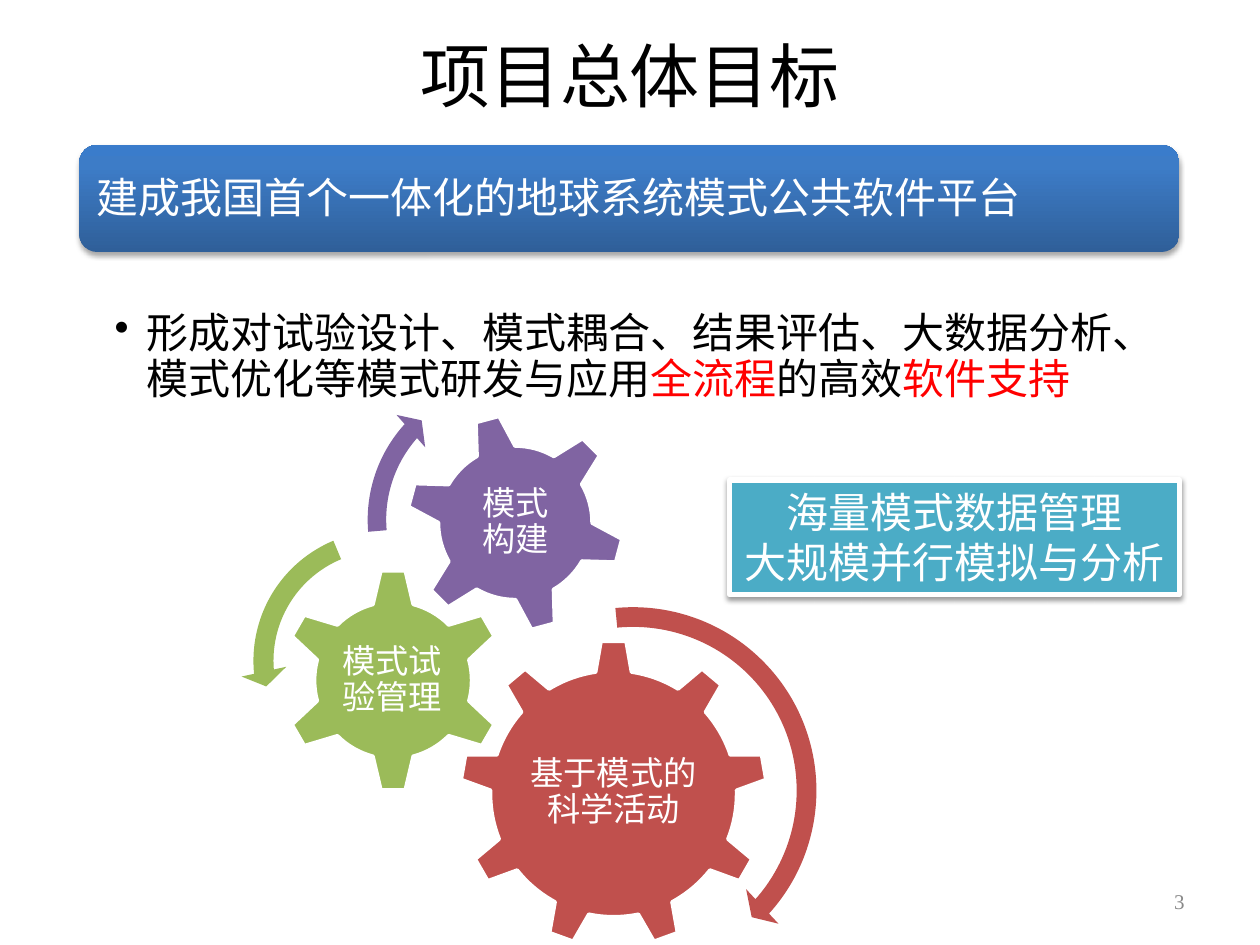
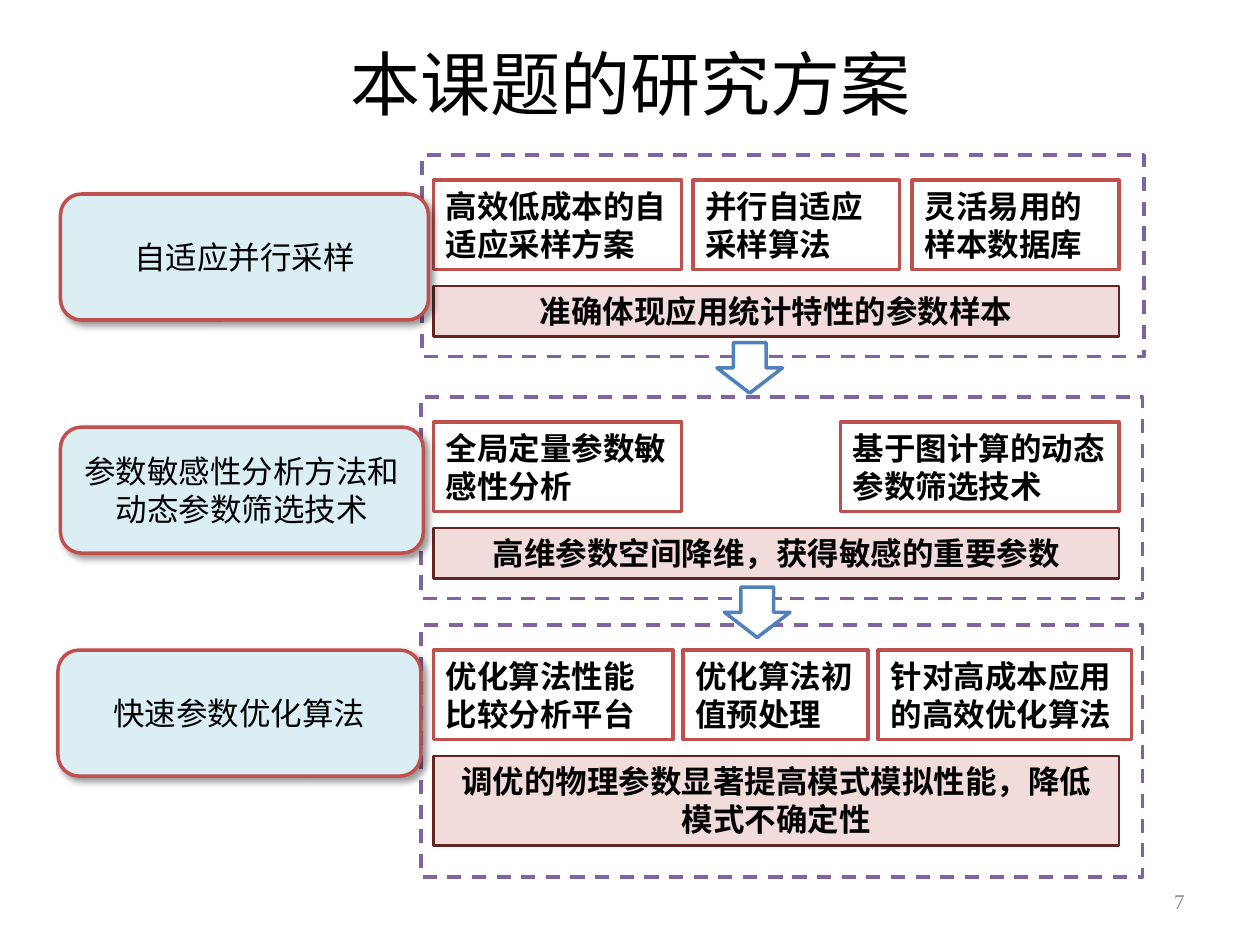
from copy import deepcopy
from dataclasses import dataclass

from lxml import etree
from pptx import Presentation
from pptx.dml.color import RGBColor
from pptx.enum.dml import MSO_LINE
from pptx.enum.shapes import MSO_SHAPE as Kind
from pptx.enum.text import MSO_ANCHOR as Anchor, PP_ALIGN as Align
from pptx.oxml.ns import qn
from pptx.util import Inches, Pt


@dataclass(frozen=True)
class Theme:
    black: str = "000000"
    white: str = "FFFFFF"
    grey: str = "898989"
    emphasis: str = "FF0000"
    red: str = "C0504D"
    green: str = "9BBB59"
    purple: str = "8064A2"
    teal: str = "4BACC6"
    blue: str = "4F81BD"
    pale_blue: str = "DBEEF4"
    pale_red: str = "F2DCDB"
    dark_red: str = "632523"
    banner: tuple = ((0, "2F5F99"), (0.8, "3D7CC7"), (1, "3A7CCB"))
    title_size: int = 40
    lead_size: int = 24
    gear_size: int = 19
    body_size: int = 18
    page_size: int = 12
    latin: str = "Times New Roman"
    chinese: str = "Noto Sans CJK SC"


theme = Theme()


def add_box(slide, at, kind=None, fill=None, line=None, width=2, shadow=None, **formats):
    place = [Inches(value) for value in at]
    if kind is None:
        return slide.shapes.add_textbox(*place)
    shape = slide.shapes.add_shape(kind, *place)
    shape.shadow.inherit = False
    if fill:
        shape.fill.solid()
        shape.fill.fore_color.rgb = RGBColor.from_string(fill)
    else:
        shape.fill.background()
    if line:
        shape.line.color.rgb = RGBColor.from_string(line)
        shape.line.width = Pt(width)
    else:
        shape.line.fill.background()
    if shadow:
        opacity, blur, distance, angle = shadow
        effects = shape._element.spPr.find(qn("a:effectLst"))
        outer = etree.SubElement(
            effects, qn("a:outerShdw"), blurRad=str(Pt(blur)), dist=str(Pt(distance)),
            dir=str(angle * 60000), rotWithShape="0")
        color = etree.SubElement(outer, qn("a:srgbClr"), val=theme.black)
        etree.SubElement(color, qn("a:alpha"), val=str(opacity * 1000))
    for name, value in formats.items():
        setattr(shape, name, value)
    return shape


def write(shape, paragraphs, size, color=theme.black, font=theme.chinese, bold=False,
          align=Align.LEFT, spacing=1.0, insets=(0.1, 0.05, 0.1, 0.05),
          anchor=Anchor.MIDDLE, wrap=True):
    frame = shape.text_frame
    sides = ("margin_left", "margin_top", "margin_right", "margin_bottom")
    formats = dict(zip(sides, map(Inches, insets)), vertical_anchor=anchor, word_wrap=wrap)
    for name, value in formats.items():
        setattr(frame, name, value)
    for index, pieces in enumerate(paragraphs):
        paragraph = frame.add_paragraph() if index else frame.paragraphs[0]
        for name, value in {"alignment": align, "line_spacing": spacing}.items():
            setattr(paragraph, name, value)
        for piece in [pieces] if isinstance(pieces, str) else pieces:
            words, ink = (piece, color) if isinstance(piece, str) else piece
            for number, words_line in enumerate(words.split("\n")):
                if number:
                    paragraph.add_line_break()
                run = paragraph.add_run()
                run.text = words_line
                for name, value in {"size": Pt(size), "bold": bold, "name": font}.items():
                    setattr(run.font, name, value)
                run.font.color.rgb = RGBColor.from_string(ink)
                etree.SubElement(run._r.get_or_add_rPr(), qn("a:ea"), typeface=theme.chinese)


presentation = Presentation()
presentation.slide_width = Inches(10)
presentation.slide_height = Inches(7.5)

pages = [
    ("项目总体目标", (0.5, -0.03, 9, 1.25), Anchor.MIDDLE, "3"),
    ("本课题的研究方案", (0.28, 0.27, 9.45, 1.25), Anchor.TOP, "7"),
]
slides = []
for title, at, anchor, page in pages:
    slide = presentation.slides.add_slide(presentation.slide_layouts[6])
    write(add_box(slide, at), [title], theme.title_size, font=theme.latin,
          align=Align.CENTER, anchor=anchor)
    write(add_box(slide, (7.17, 6.95, 2.33, 0.4)), [page], theme.page_size, theme.grey,
          theme.latin, align=Align.RIGHT)
    slides.append(slide)
goal_slide, plan_slide = slides

banner = add_box(goal_slide, (0.63, 1.15, 8.73, 0.85), Kind.ROUNDED_RECTANGLE,
                 shadow=(35, 3.1, 1.8, 90))
banner.fill.gradient()
banner.fill.gradient_angle = 90
stop_list = banner._element.spPr.find(".//" + qn("a:gsLst"))
stop_list.insert(1, deepcopy(stop_list[0]))
for stop, (position, color) in zip(banner.fill.gradient_stops, theme.banner):
    stop.position = position
    stop.color.rgb = RGBColor.from_string(color)
write(add_box(goal_slide, (0.67, 1.2, 8.65, 0.77)), ["建成我国首个一体化的地球系统模式公共软件平台"],
      theme.lead_size, theme.white, spacing=0.9, insets=(0.1,) * 4)

support = add_box(goal_slide, (0.63, 2.45, 8.73, 1.3))
properties = support.text_frame.paragraphs[0]._p.get_or_add_pPr()
properties.set("marL", str(Inches(0.25)))
properties.set("indent", str(Inches(-0.25)))
etree.SubElement(properties, qn("a:buChar"), char="•")
write(support, [[
    "形成对试验设计、模式耦合、结果评估、大数据分析、模式优化等模式研发与应用",
    ("全流程", theme.emphasis), "的高效", ("软件支持", theme.emphasis),
]], theme.lead_size, spacing=0.9, insets=(0.28, 0.03, 0.19, 0.03), anchor=Anchor.TOP)

gears = [
    (Kind.GEAR_9, (3.65, 5.08, 2.44, 2.44), 0, theme.red,
     "基于模式的科学活动", (4.14, 5.66, 1.46, 1.26)),
    (Kind.GEAR_6, (2.23, 4.51, 1.78, 1.78), 0, theme.green,
     "模式试验管理", (2.67, 4.96, 0.88, 0.88)),
    (Kind.GEAR_6, (3.22, 3.28, 1.74, 1.74), 345, theme.purple,
     "模式\n构建", (3.6, 3.66, 0.98, 0.98)),
]
for kind, at, rotation, color, words, words_at in gears:
    add_box(goal_slide, at, kind, color, theme.white, rotation=rotation)
    write(add_box(goal_slide, words_at), [words], theme.gear_size, theme.white,
          align=Align.CENTER, spacing=0.9, insets=(0.03,) * 4)

turns = [
    (Kind.CIRCULAR_ARROW, (3.46, 4.71, 3.13, 3.13), theme.red,
     (0.05, 2.99, 25.13, 158.68, 0.06)),
    (Kind.LEFT_CIRCULAR_ARROW, (1.91, 4.11, 2.27, 2.27), theme.green,
     (0.07, 4.3, 104.89, 148.38, 0.08)),
    (Kind.CIRCULAR_ARROW, (2.82, 2.9, 2.45, 2.45), theme.purple,
     (0.06, 3.94, 133.14, 105.08, 0.07)),
]
for kind, at, color, adjustments in turns:
    turn = add_box(goal_slide, at, kind, color)
    for index, value in enumerate(adjustments):
        turn.adjustments[index] = value

data_box = add_box(goal_slide, (5.79, 3.81, 3.57, 0.91), Kind.RECTANGLE, theme.teal,
                   theme.white, 3, (38, 3.1, 1.6, 90))
write(data_box, ["海量模式数据管理", "大规模并行模拟与分析"], theme.lead_size, theme.white,
      align=Align.CENTER, anchor=Anchor.TOP, wrap=False)

method_height = 0.71
stages = [
    {"frame": (3.35, 1.23, 5.73, 1.6),
     "label": ("自适应并行采样", (0.48, 1.54, 2.92, 1)),
     "methods": [("高效低成本的自适应采样方案", 3.44, 1.97),
                 ("并行自适应采样算法", 5.5, 1.64),
                 ("灵活易用的样本数据库", 7.24, 1.64)],
     "result": ("准确体现应用统计特性的参数样本", 0.4)},
    {"frame": (3.34, 3.15, 5.73, 1.6),
     "label": ("参数敏感性分析方法和动态参数筛选技术", (0.48, 3.39, 2.88, 1)),
     "methods": [("全局定量参数敏感性分析", 3.44, 1.97),
                 ("基于图计算的动态参数筛选技术", 6.67, 2.21)],
     "result": ("高维参数空间降维，获得敏感的重要参数", 0.4)},
    {"frame": (3.34, 4.96, 5.73, 2),
     "label": ("快速参数优化算法", (0.46, 5.16, 2.88, 1)),
     "methods": [("优化算法性能比较分析平台", 3.44, 1.9),
                 ("优化算法初值预处理", 5.42, 1.47),
                 ("针对高成本应用的高效优化算法", 6.97, 2.01)],
     "result": ("调优的物理参数显著提高模式模拟性能，降低模式不确定性", 0.71)},
]
for stage in stages:
    frame = add_box(plan_slide, stage["frame"], Kind.RECTANGLE, line=theme.purple)
    frame.line.dash_style = MSO_LINE.DASH
    method_top = stage["frame"][1] + 0.2
    for words, left, width in stage["methods"]:
        method = add_box(plan_slide, (left, method_top, width, method_height),
                         Kind.RECTANGLE, theme.white, theme.red)
        write(method, [words], theme.body_size, bold=True)
    words, height = stage["result"]
    result = add_box(plan_slide, (3.44, method_top + 0.84, 5.44, height), Kind.RECTANGLE,
                     theme.pale_red, theme.dark_red, 1.5)
    write(result, [words], theme.body_size, bold=True, align=Align.CENTER, anchor=Anchor.TOP)
    words, at = stage["label"]
    label = add_box(plan_slide, at, Kind.ROUNDED_RECTANGLE, theme.pale_blue, theme.red,
                    shadow=(40, 4, 3, 45))
    write(label, [words], theme.body_size, align=Align.CENTER)

for left, top in [(5.69, 2.72), (5.75, 4.66)]:
    add_box(plan_slide, (left, top, 0.52, 0.4), Kind.DOWN_ARROW, theme.white, theme.blue)

presentation.save("out.pptx")
